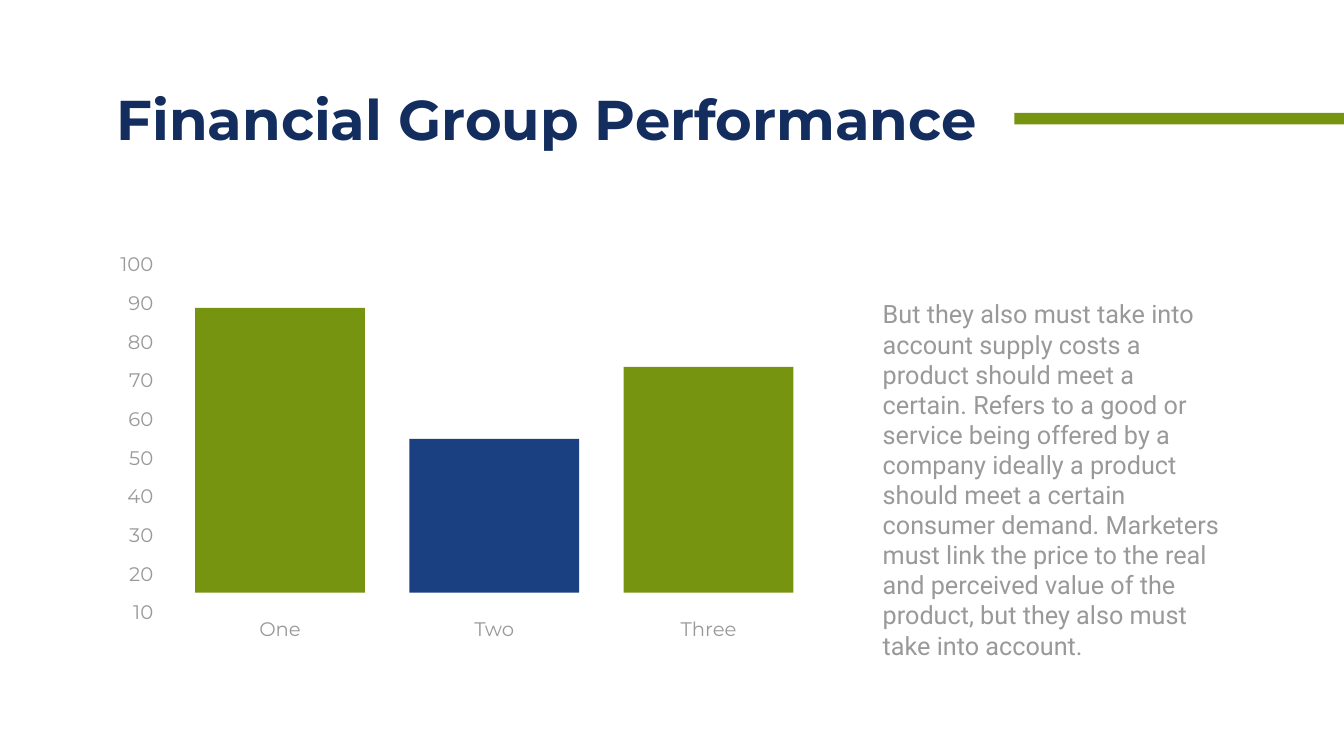
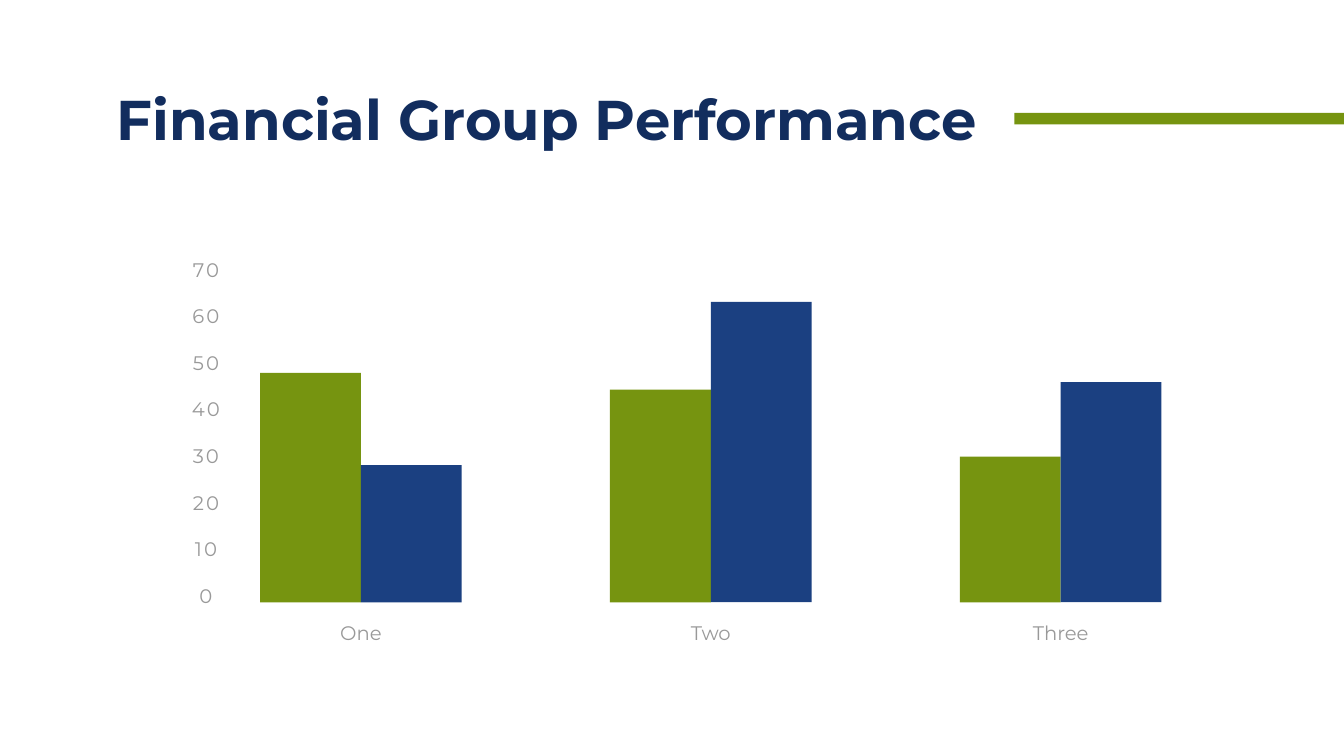
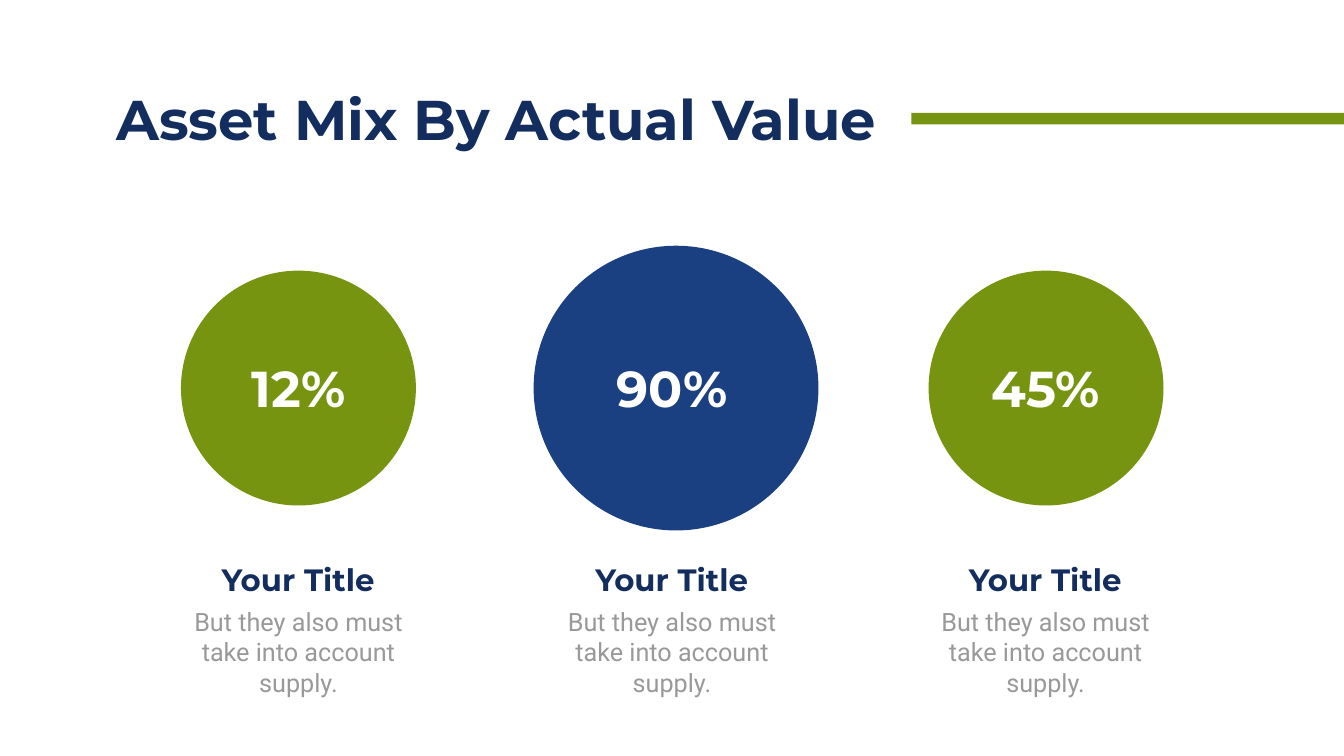
from pptx import Presentation
from pptx.dml.color import RGBColor
from pptx.enum import shapes, text
from pptx.util import Inches, Pt

# Shared look
SLIDE_WIDTH, SLIDE_HEIGHT = 26.66, 15
GREEN, BLUE, NAVY, GREY, WHITE = "769410", "1B4081", "122D5E", "999999", "FFFFFF"
HEADING_FONT, BODY_FONT = "Montserrat", "Roboto"
LEFT, CENTER, RIGHT = text.PP_ALIGN.LEFT, text.PP_ALIGN.CENTER, text.PP_ALIGN.RIGHT
DEFAULT_INSETS, WIDE_INSETS = (0.1, 0.05), (0.24, 0.12)
CATEGORIES = ("One", "Two", "Three")


def color(hex_string):
    return RGBColor.from_string(hex_string)


def place(shape, left, top, width, height):
    shape.left, shape.top = Inches(left), Inches(top)
    shape.width, shape.height = Inches(width), Inches(height)


def write(shape, lines, size, fill, font=HEADING_FONT, bold=False, align=LEFT,
          insets=DEFAULT_INSETS, line_spacing=None, space_before=0, tracking=0):
    """Fill a shape with one paragraph per line and format them alike."""
    frame = shape.text_frame
    frame.text = "\n".join(lines)
    frame.word_wrap = True
    frame.auto_size = text.MSO_AUTO_SIZE.NONE
    frame.vertical_anchor = text.MSO_ANCHOR.TOP
    frame.margin_left = frame.margin_right = Inches(insets[0])
    frame.margin_top = frame.margin_bottom = Inches(insets[1])
    for index, paragraph in enumerate(frame.paragraphs):
        paragraph.alignment = align
        paragraph.line_spacing = line_spacing
        paragraph.space_before = Pt(space_before if index else 0)
        for run in paragraph.runs:
            run.font.name, run.font.size, run.font.bold = font, Pt(size), bold
            run.font.color.rgb = color(fill)
            if tracking:
                run.font._element.set("spc", str(tracking * 100))


def add_text(slide, box, lines, size, fill, **style):
    write(slide.shapes.add_textbox(*map(Inches, box)), lines, size, fill, **style)


def add_block(slide, kind, box, fill):
    shape = slide.shapes.add_shape(kind, *map(Inches, box))
    shape.shadow.inherit = False
    shape.fill.solid()
    shape.fill.fore_color.rgb = color(fill)
    shape.line.fill.background()


def add_bar(slide, left, baseline, width, height, fill):
    add_block(slide, shapes.MSO_SHAPE.RECTANGLE,
              (left, baseline - height, width, height), fill)


def add_description(slide, box, words, align=LEFT):
    add_text(slide, box, [words], 36, GREY, font=BODY_FONT, align=align,
             insets=WIDE_INSETS, line_spacing=Pt(43))


def add_category(slide, center, top, width, height, name, insets=DEFAULT_INSETS):
    add_text(slide, (center - width / 2, top, width, height), [name], 28, GREY,
             align=CENTER, insets=insets, line_spacing=1.5)


def add_titled_slide(presentation, title, title_width, rule_left):
    """Start a slide with its title and the rule running to the right edge."""
    slide = presentation.slides.add_slide(presentation.slide_layouts[5])
    place(slide.shapes.title, 2.21, 1.63, title_width, 1.45)
    write(slide.shapes.title, [title], 80, NAVY, bold=True)
    add_block(slide, shapes.MSO_SHAPE.RECTANGLE,
              (rule_left, 2.24, SLIDE_WIDTH - rule_left, 0.23), GREEN)
    return slide


def add_performance_slide(presentation):
    return add_titled_slide(presentation, "Financial Group Performance", 17.46, 20.12)


def build_single_bars(presentation):
    slide = add_performance_slide(presentation)
    bar_width = 3.37
    bars = zip(CATEGORIES, (5.65, 3.05, 4.48), (GREEN, BLUE, GREEN))
    for index, (name, height, fill) in enumerate(bars):
        left = 3.87 + 4.25 * index
        add_bar(slide, left, 11.76, bar_width, height, fill)
        add_category(slide, left + bar_width / 2, 11.89, 2.42, 0.8, name, WIDE_INSETS)
    # Value scale
    scale = [str(value) for value in range(100, 0, -10)]
    add_text(slide, (1.86, 4.65, 1.42, 7.41), scale, 28, GREY, align=RIGHT,
             insets=WIDE_INSETS, line_spacing=1.5, space_before=4.8)
    add_description(
        slide, (17.27, 5.81, 7.18, 6.87),
        "But they also must take into account supply costs a product should meet a "
        "certain. Refers to a good or service being offered by a company ideally a "
        "product should meet a certain consumer demand. Marketers must link the price "
        "to the real and perceived value of the product, but they also must take into "
        "account.")


def build_paired_bars(presentation):
    slide = add_performance_slide(presentation)
    bar_width = 2
    pairs = ((4.55, 2.72), (4.22, 5.96), (2.89, 4.37))
    for index, (name, heights) in enumerate(zip(CATEGORIES, pairs)):
        middle = 7.16 + 6.94 * index
        for left, height, fill in zip((middle - bar_width, middle), heights, (GREEN, BLUE)):
            add_bar(slide, left, 11.95, bar_width, height, fill)
        add_category(slide, middle, 12.03, 3.35, 0.73, name)
    # Value scale
    for step, value in enumerate(range(0, 80, 10)):
        top = 11.53 - (11.53 - 5.06) / 7 * step
        add_text(slide, (3.62, top, 0.93, 0.57), [str(value)], 28, GREY,
                 align=CENTER, tracking=3)


def build_asset_mix(presentation):
    slide = add_titled_slide(presentation, "Asset Mix By Actual Value", 15.5, 18.08)
    # Share, circle centre, diameter, fill
    assets = (("12%", 5.92, 4.66, GREEN), ("90%", 13.41, 5.65, BLUE),
              ("45%", 20.75, 4.66, GREEN))
    for index, (share, circle_center, diameter, fill) in enumerate(assets):
        center = 5.92 + 7.41 * index
        add_block(slide, shapes.MSO_SHAPE.OVAL,
                  (circle_center - diameter / 2, 7.7 - diameter / 2, diameter, diameter),
                  fill)
        add_text(slide, (center - 1.75, 7.04, 3.5, 1.31), [share], 72, WHITE,
                 bold=True, align=CENTER)
        add_text(slide, (center - 2.39, 11.08, 4.77, 0.84), ["Your Title"], 44, NAVY,
                 bold=True, align=CENTER)
        add_description(slide, (center - 2.82, 11.92, 5.64, 1.45),
                        "But they also must take into account supply.", CENTER)


def main():
    presentation = Presentation()
    presentation.slide_width = Inches(SLIDE_WIDTH)
    presentation.slide_height = Inches(SLIDE_HEIGHT)
    build_single_bars(presentation)
    build_paired_bars(presentation)
    build_asset_mix(presentation)
    presentation.save("out.pptx")


if __name__ == "__main__":
    main()
